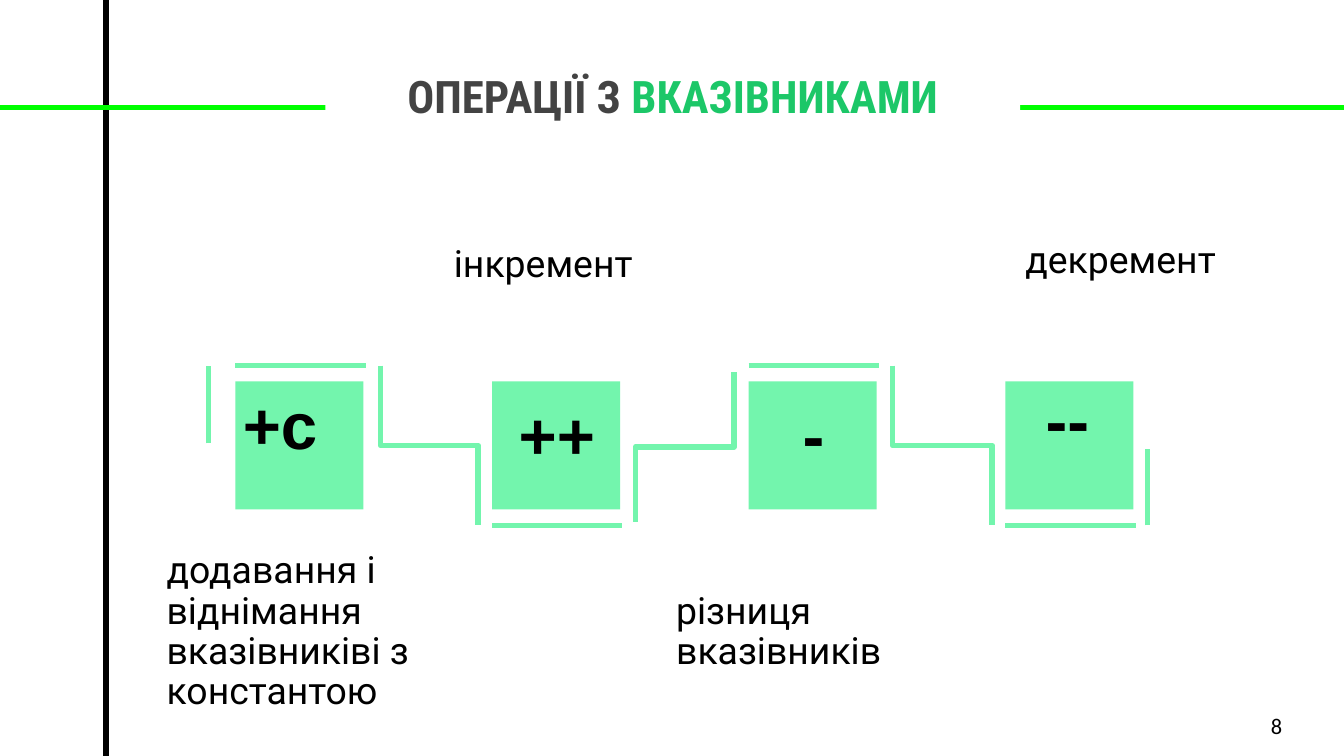
from pptx import Presentation
from pptx.dml.color import RGBColor
from pptx.enum.shapes import MSO_CONNECTOR, MSO_SHAPE
from pptx.enum.text import MSO_ANCHOR, MSO_AUTO_SIZE, PP_ALIGN
from pptx.oxml.ns import qn
from pptx.util import Cm, Pt
from lxml import etree

STRAIGHT, ELBOW = MSO_CONNECTOR.STRAIGHT, MSO_CONNECTOR.ELBOW
RECTANGLE = MSO_SHAPE.RECTANGLE
TOP, MIDDLE = MSO_ANCHOR.TOP, MSO_ANCHOR.MIDDLE
LEFT, CENTER = PP_ALIGN.LEFT, PP_ALIGN.CENTER
NO_AUTOFIT = MSO_AUTO_SIZE.NONE

BLACK, WHITE, GRAY = "000000", "FFFFFF", "434343"
MINT, GREEN, LIME = "73F5AD", "1CC768", "00FF00"

# Chain of squares, in centimetres
FIRST_LEFT, PITCH, SQUARE_TOP, SIDE = 4.45, 4.85, 7.21, 2.42
BAR_WIDTH, UPPER, LOWER = 2.46, 6.91, 9.93

# Symbol, its left and top, alignment
SYMBOLS = [
    ("+с", 4.34, 7.01, LEFT),
    ("++", 9.32, 7.21, CENTER),
    ("-", 14.17, 7.21, CENTER),
    ("--", 18.97, 6.91, CENTER),
]
# Label, left, top, width, height
LABELS = [
    ("додавання і віднімання вказівниківі з константою", 2.49, 9.93, 6.55, 4.04),
    ("інкремент", 7.92, 3.51, 5.94, 3),
    ("різниця вказівників", 12.12, 9.93, 6.55, 4.04),
    ("декремент", 18.72, 3.45, 5.94, 3),
]
# Start x, start y, end x, end y
STEPS = [
    (7.19, UPPER, 9.04, LOWER),
    (13.87, 7.04, 12.01, 9.86),
    (16.87, UPPER, 18.75, LOWER),
]


def color(value):
    return RGBColor.from_string(value)


def format_run(run, font, size, fill, bold=False):
    run.font.name = font
    run.font.size = Pt(size)
    run.font.bold = bold
    run.font.color.rgb = color(fill)


def set_frame(text_frame, anchor, side=0.25, edge=0.25):
    text_frame.word_wrap = True
    text_frame.auto_size = NO_AUTOFIT
    text_frame.vertical_anchor = anchor
    text_frame.margin_left = text_frame.margin_right = Cm(side)
    text_frame.margin_top = text_frame.margin_bottom = Cm(edge)


def add_rectangle(slide, left, top, width, height, fill):
    shape = slide.shapes.add_shape(RECTANGLE, Cm(left), Cm(top), Cm(width), Cm(height))
    shape.shadow.inherit = False
    shape.fill.solid()
    shape.fill.fore_color.rgb = color(fill)
    shape.line.fill.background()


def add_line(slide, x1, y1, x2, y2, stroke=MINT, kind=STRAIGHT):
    line = slide.shapes.add_connector(kind, Cm(x1), Cm(y1), Cm(x2), Cm(y2))
    line.line.color.rgb = color(stroke)
    line.line.width = Pt(3)
    properties = line._element.spPr
    etree.SubElement(properties, qn("a:effectLst"))
    return line


def add_step(slide, x1, y1, x2, y2):
    """Vertical-horizontal-vertical elbow: a connector turned a quarter."""
    center_x, center_y = (x1 + x2) / 2, (y1 + y2) / 2
    half_width, half_height = (y2 - y1) / 2, abs(x2 - x1) / 2
    to_right = x2 > x1
    reach = half_width if to_right else -half_width
    line = add_line(slide, center_x + reach, center_y - half_height,
                    center_x - reach, center_y + half_height, kind=ELBOW)
    degrees = 270 if to_right else 90
    line._element.spPr.find(qn("a:xfrm")).set("rot", str(degrees * 60000))


def add_text(slide, text, left, top, width, height, font, size,
             bold=False, align=LEFT, anchor=TOP, spacing=1, side=0.25, edge=0.25):
    box = slide.shapes.add_textbox(Cm(left), Cm(top), Cm(width), Cm(height))
    set_frame(box.text_frame, anchor, side, edge)
    paragraph = box.text_frame.paragraphs[0]
    paragraph.text = text
    paragraph.alignment = align
    paragraph.line_spacing = spacing
    format_run(paragraph.runs[0], font, size, BLACK, bold)


def add_title(slide):
    title = slide.shapes.title
    title.left, title.top, title.width, title.height = Cm(2.01), Cm(1.04), Cm(21.41), Cm(1.93)
    set_frame(title.text_frame, TOP)
    paragraph = title.text_frame.paragraphs[0]
    paragraph.alignment = CENTER
    for text, fill in (("ОПЕРАЦІЇ З ", GRAY), ("ВКАЗІВНИКАМИ", GREEN)):
        run = paragraph.add_run()
        run.text = text
        format_run(run, "Roboto Condensed", 24, fill, bold=True)


def add_frame(slide):
    add_line(slide, 2.01, -0.05, 2.01, 14.35, BLACK)
    add_line(slide, 25.98, 2.03, -0.13, 2.03, LIME)
    add_rectangle(slide, 6.15, 0.23, 13.13, 2.87, WHITE)
    # Keep the title above the frame
    title = slide.shapes.title._element
    title.getparent().append(title)


def add_chain(slide):
    for index in range(len(SYMBOLS)):
        left = FIRST_LEFT + index * PITCH
        add_rectangle(slide, left, SQUARE_TOP, SIDE, SIDE, MINT)
        bar = LOWER if index % 2 else UPPER
        add_line(slide, left, bar, left + BAR_WIDTH, bar)
    for step in STEPS:
        add_step(slide, *step)
    # Open ends of the chain
    add_line(slide, 3.94, 8.38, 3.94, UPPER)
    add_line(slide, 21.69, LOWER, 21.69, 8.48)


def main():
    presentation = Presentation()
    presentation.slide_width, presentation.slide_height = Cm(25.4), Cm(14.29)
    slide = presentation.slides.add_slide(presentation.slide_layouts[5])

    # Title and background lines
    add_title(slide)
    add_frame(slide)

    # Squares with their connecting path
    add_chain(slide)

    # Captions
    for text, left, top, width, height in LABELS:
        add_text(slide, text, left, top, width, height, "Roboto", 20,
                 anchor=MIDDLE, spacing=0.9, side=0.66, edge=0)
    for text, left, top, align in SYMBOLS:
        add_text(slide, text, left, top, 2.41, 2.82, "Arial", 35, bold=True, align=align)

    # Page number
    add_text(slide, "8", 23.77, 13.18, 1.52, 1.09, "Calibri", 12, anchor=MIDDLE)

    presentation.save("out.pptx")


if __name__ == "__main__":
    main()
